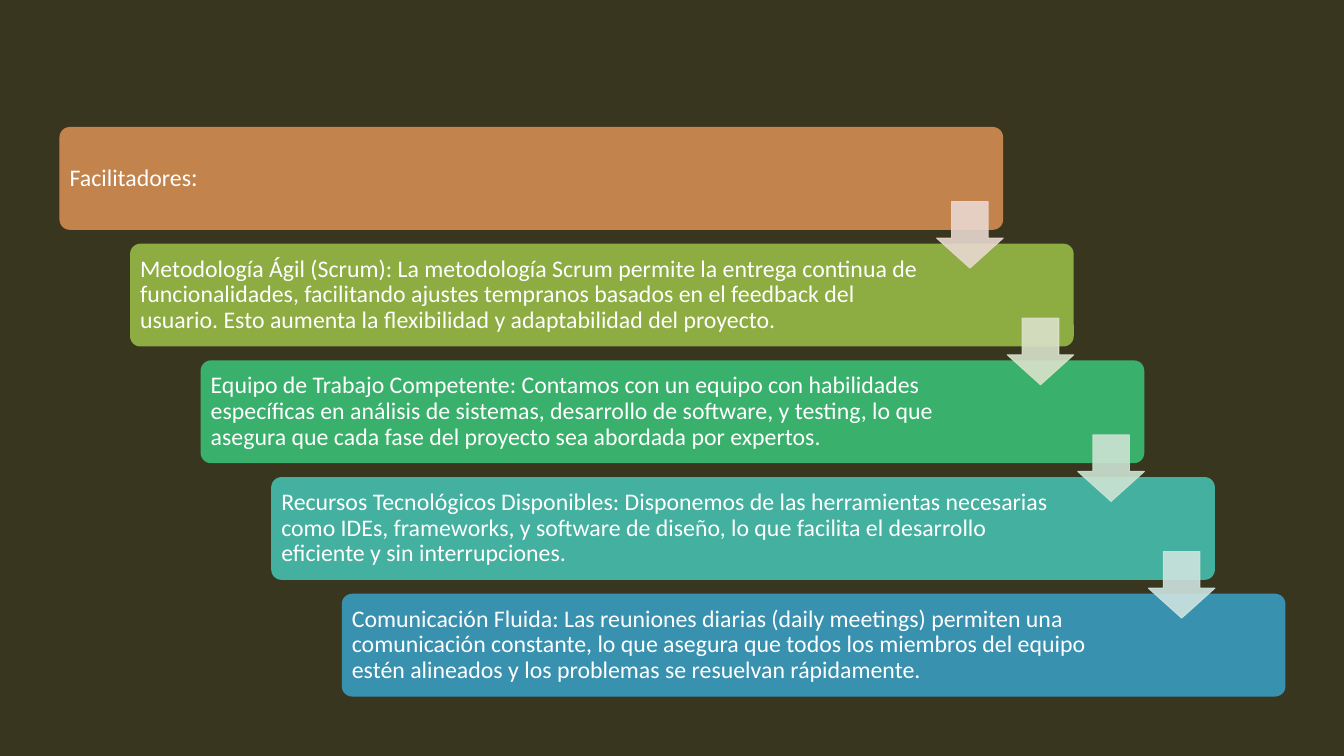
from dataclasses import dataclass

from lxml import etree
from pptx import Presentation
from pptx.dml.color import RGBColor
from pptx.enum.shapes import MSO_SHAPE
from pptx.enum.text import MSO_ANCHOR, PP_ALIGN
from pptx.oxml.ns import qn
from pptx.util import Inches, Pt

ROUNDED = MSO_SHAPE.ROUNDED_RECTANGLE
DOWN_ARROW = MSO_SHAPE.DOWN_ARROW
MIDDLE = MSO_ANCHOR.MIDDLE
LEFT = PP_ALIGN.LEFT


@dataclass(frozen=True)
class Theme:
    """Colours, fonts and sizes of the slide."""
    background: str = "393620"
    text: str = "FFFFFF"
    bars: tuple = ("C2834C", "8DAC42", "39B06B", "44B09F", "3991B0")
    arrows: tuple = ("E9D8CF", "DAE2CB", "CDE3D4", "CEE3DF")
    arrow_opacity: int = 90
    font: str = "Calibri"
    colon_font: str = "Lato"
    size: float = 17
    line_spacing: float = 0.9


@dataclass(frozen=True)
class Box:
    """A rectangle in inches."""
    left: float
    top: float
    width: float
    height: float

    def lengths(self):
        """Return the four sides as slide lengths."""
        return [Inches(side) for side in (self.left, self.top, self.width, self.height)]


THEME = Theme()
STAIRCASE = Box(0.59, 1.26, 12.16, 5.65)
BAR_WIDTH, BAR_HEIGHT = 9.36, 1.02
ARROW_SIZE, ARROW_DROP = 0.66, 0.74
TEXT_MARGIN, TEXT_INSET = 0.03, 0.07
FIRST_TEXT_WIDTH, TEXT_WIDTH = 8.14, 7.94

STEPS = [
    [("Facilitadores", THEME.font), (":", THEME.colon_font)],
    [("Metodología Ágil (Scrum): La metodología Scrum permite la entrega continua de "
      "funcionalidades, facilitando ajustes tempranos basados en el feedback del usuario. "
      "Esto aumenta la flexibilidad y adaptabilidad del proyecto.", THEME.font)],
    [("Equipo de Trabajo Competente: Contamos con un equipo con habilidades específicas en "
      "análisis de sistemas, desarrollo de software, y testing, lo que asegura que cada fase "
      "del proyecto sea abordada por expertos.", THEME.font)],
    [("Recursos Tecnológicos Disponibles: Disponemos de las herramientas necesarias como IDEs, "
      "frameworks, y software de diseño, lo que facilita el desarrollo eficiente y sin "
      "interrupciones.", THEME.font)],
    [("Comunicación Fluida: Las reuniones diarias (daily meetings) permiten una comunicación "
      "constante, lo que asegura que todos los miembros del equipo estén alineados y los "
      "problemas se resuelvan rápidamente.", THEME.font)],
]


def add_text(slide, box, runs, *, size=THEME.size, color=THEME.text, align=LEFT, anchor=MIDDLE):
    """Add a wrapped text box made of (text, font) runs."""
    frame = slide.shapes.add_textbox(*box.lengths()).text_frame
    frame.word_wrap = True
    frame.vertical_anchor = anchor
    frame.margin_left = frame.margin_right = Inches(TEXT_INSET)
    frame.margin_top = frame.margin_bottom = Inches(TEXT_INSET)
    paragraph = frame.paragraphs[0]
    paragraph.alignment = align
    paragraph.line_spacing = THEME.line_spacing
    for text, font in runs:
        run = paragraph.add_run()
        run.text = text
        run.font.name = font
        run.font.size = Pt(size)
        run.font.color.rgb = RGBColor.from_string(color)


def add_filled_shape(slide, kind, box, color, adjustments):
    """Add a flat preset shape without outline."""
    shape = slide.shapes.add_shape(kind, *box.lengths())
    shape.shadow.inherit = False
    for index, value in enumerate(adjustments):
        shape.adjustments[index] = value
    shape.fill.solid()
    shape.fill.fore_color.rgb = RGBColor.from_string(color)
    shape.line.fill.background()
    return shape


def add_bar(slide, box, color, runs, text_width):
    """Add one rounded step with its text."""
    add_filled_shape(slide, ROUNDED, box, color, [0.1])
    text_box = Box(box.left + TEXT_MARGIN, box.top + TEXT_MARGIN,
                   text_width, box.height - 2 * TEXT_MARGIN)
    add_text(slide, text_box, runs)


def add_arrow(slide, bar, color):
    """Add the translucent arrow that leads from a bar to the next one."""
    box = Box(bar.left + bar.width - ARROW_SIZE, bar.top + ARROW_DROP, ARROW_SIZE, ARROW_SIZE)
    arrow = add_filled_shape(slide, DOWN_ARROW, box, color, [0.55, 0.45])
    arrow.line.color.rgb = RGBColor.from_string(color)
    arrow.line.width = Pt(0.75)
    for paint in arrow.fill._xPr.iter(qn("a:srgbClr")):
        etree.SubElement(paint, qn("a:alpha"), val=str(THEME.arrow_opacity * 1000))


def add_staircase(slide, box):
    """Place the descending bars and their arrows inside the box."""
    gaps = len(STEPS) - 1
    step_x = (box.width - BAR_WIDTH) / gaps
    step_y = (box.height - BAR_HEIGHT) / gaps
    bars = [Box(box.left + index * step_x, box.top + index * step_y, BAR_WIDTH, BAR_HEIGHT)
            for index in range(len(STEPS))]
    widths = [FIRST_TEXT_WIDTH] + [TEXT_WIDTH] * gaps
    for bar, color, runs, width in zip(bars, THEME.bars, STEPS, widths):
        add_bar(slide, bar, color, runs, width)
    for bar, color in zip(bars, THEME.arrows):
        add_arrow(slide, bar, color)


def main():
    """Build and save the presentation."""
    presentation = Presentation()
    presentation.slide_width = Inches(13.33)
    presentation.slide_height = Inches(7.5)
    slide = presentation.slides.add_slide(presentation.slide_layouts[6])
    slide.background.fill.solid()
    slide.background.fill.fore_color.rgb = RGBColor.from_string(THEME.background)
    add_staircase(slide, STAIRCASE)
    presentation.save("out.pptx")


if __name__ == "__main__":
    main()
